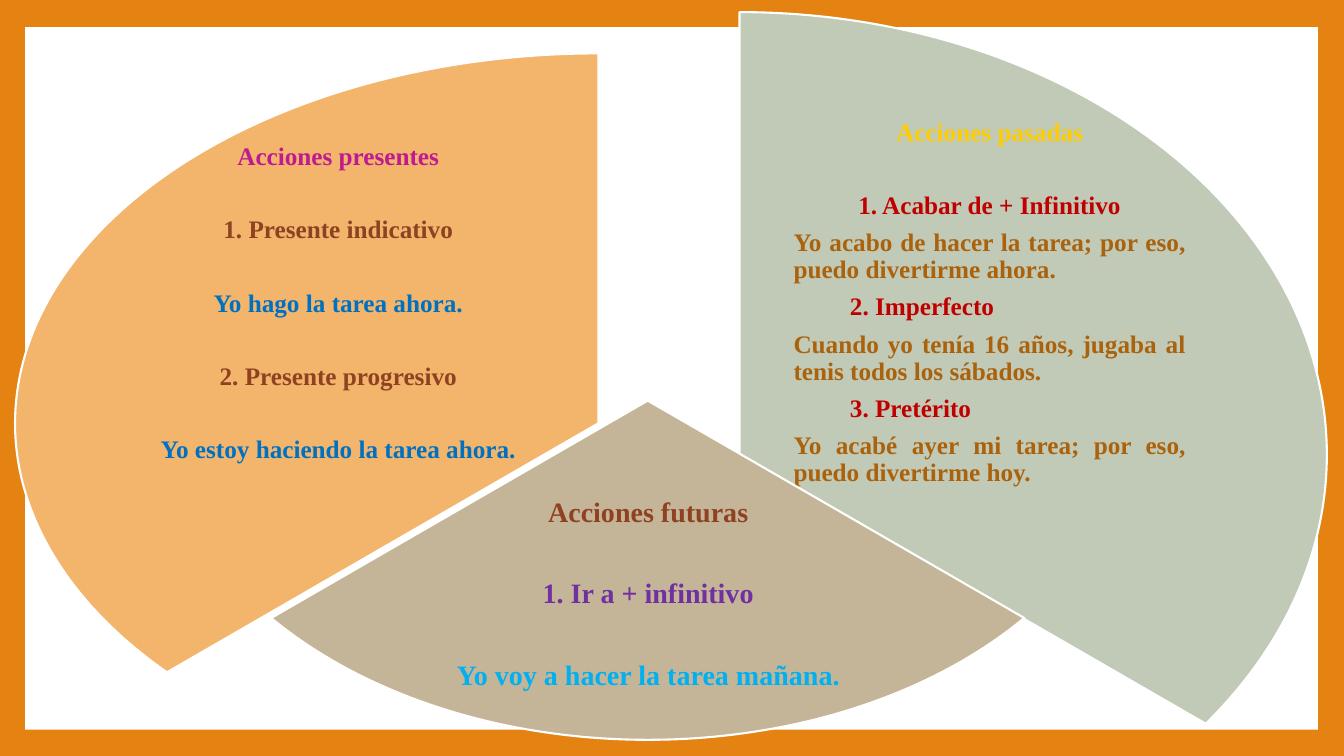
from pptx import Presentation
from pptx.dml.color import RGBColor
from pptx.enum.shapes import MSO_SHAPE as SHAPE
from pptx.enum.text import MSO_ANCHOR, PP_ALIGN as ALIGN
from pptx.util import Inches, Pt

FONT = "Times New Roman"
WHITE = RGBColor(0xFF, 0xFF, 0xFF)
ORANGE = RGBColor(0xE4, 0x83, 0x12)
SAGE = RGBColor(0xC1, 0xCA, 0xB6)
TAN = RGBColor(0xC5, 0xB5, 0x98)
PEACH = RGBColor(0xF3, 0xB5, 0x6C)
YELLOW = RGBColor(0xFF, 0xCC, 0x00)
RED = RGBColor(0xC0, 0x00, 0x00)
OCHRE = RGBColor(0xAB, 0x62, 0x0D)
BROWN = RGBColor(0x8E, 0x42, 0x21)
PURPLE = RGBColor(0x70, 0x30, 0xA0)
SKY = RGBColor(0x00, 0xB0, 0xF0)
MAGENTA = RGBColor(0xBF, 0x1B, 0x90)
BLUE = RGBColor(0x00, 0x70, 0xC0)


def add_filled(slide, kind, box, color):
    """Add a flat preset shape without an outline."""
    shape = slide.shapes.add_shape(kind, *map(Inches, box))
    shape.shadow.inherit = False
    shape.fill.solid()
    shape.fill.fore_color.rgb = color
    shape.line.fill.background()
    return shape


def add_slice(slide, box, color, start, end):
    """Add a white-edged pie slice between two clockwise angles in degrees."""
    pie = add_filled(slide, SHAPE.PIE, box, color)
    pie.adjustments[0] = start * 0.6
    pie.adjustments[1] = end * 0.6
    pie.line.color.rgb = WHITE
    pie.line.width = Pt(1.5)


def add_frame(slide, box, bottom=0.03):
    """Add a wrapping, vertically centred text frame."""
    frame = slide.shapes.add_textbox(*map(Inches, box)).text_frame
    frame.word_wrap = True
    frame.vertical_anchor = MSO_ANCHOR.MIDDLE
    frame.margin_left = frame.margin_right = frame.margin_top = Inches(0.03)
    frame.margin_bottom = Inches(bottom)
    return frame


def write(frame, text, color, size=18, align=ALIGN.CENTER, after=7.1, indent=0):
    """Write one bold paragraph after those already in the frame."""
    paragraph = frame.paragraphs[-1]
    if paragraph.runs:
        paragraph = frame.add_paragraph()
    paragraph.alignment = align
    paragraph.line_spacing = 0.9
    paragraph.space_before = Pt(0)
    paragraph.space_after = Pt(after)
    if indent:
        paragraph._p.get_or_add_pPr().set("marL", str(Inches(indent)))
    run = paragraph.add_run()
    run.text = text
    run.font.name = FONT
    run.font.size = Pt(size)
    run.font.bold = True
    run.font.color.rgb = color


def write_spaced(frame, lines, size, gap):
    """Write centred lines with an equal gap between them."""
    for number, (text, color) in enumerate(lines, 1):
        write(frame, text, color, size=size, after=gap if number < len(lines) else 0)


def add_past(slide):
    """Add the slice on past actions."""
    add_slice(slide, (1.51, 0.12, 11.65, 8.78), SAGE, 270, 30)
    past = add_frame(slide, (7.84, 1.74, 3.95, 2.93), bottom=0.42)
    write(past, "Acciones pasadas", YELLOW, after=32.8)
    write(past, "1. Acabar de + Infinitivo", RED)
    write(past, "Yo acabo de hacer la tarea; por eso, puedo divertirme ahora.",
          OCHRE, align=ALIGN.JUSTIFY)
    write(past, "2. Imperfecto", RED, align=ALIGN.LEFT, indent=0.56)
    write(past, "Cuando yo tenía 16 años, jugaba al tenis todos los sábados.",
          OCHRE, align=ALIGN.JUSTIFY)
    write(past, "3. Pretérito", RED, align=ALIGN.JUSTIFY, indent=0.56)
    write(past, "Yo acabé ayer mi tarea; por eso, puedo divertirme hoy.",
          OCHRE, align=ALIGN.JUSTIFY, after=0)


def add_future(slide):
    """Add the slice on future actions."""
    add_slice(slide, (1.56, 0.61, 9.73, 6.73), TAN, 30, 150)
    future = add_frame(slide, (4.23, 4.86, 4.4, 2.08))
    write_spaced(future, [
        ("Acciones futuras", BROWN),
        ("1. Ir a + infinitivo", PURPLE),
        ("Yo voy a hacer la tarea mañana.", SKY),
    ], size=20, gap=36.4)


def add_present(slide):
    """Add the slice on present actions."""
    add_slice(slide, (0.15, 0.53, 11.57, 7.34), PEACH, 150, 270)
    present = add_frame(slide, (1.39, 1.97, 3.93, 2.45), bottom=0.39)
    write_spaced(present, [
        ("Acciones presentes", MAGENTA),
        ("1. Presente indicativo", BROWN),
        ("Yo hago la tarea ahora.", BLUE),
        ("2. Presente progresivo", BROWN),
        ("Yo estoy haciendo la tarea ahora.", BLUE),
    ], size=18, gap=32.8)


def main():
    """Build the slide and save it."""
    deck = Presentation()
    deck.slide_width = Inches(13.33)
    deck.slide_height = Inches(7.5)
    slide = deck.slides.add_slide(deck.slide_layouts[6])
    slide.background.fill.solid()
    slide.background.fill.fore_color.rgb = ORANGE
    add_filled(slide, SHAPE.RECTANGLE, (0.25, 0.27, 12.82, 6.97), WHITE)
    add_past(slide)
    add_future(slide)
    add_present(slide)
    deck.save("out.pptx")


if __name__ == "__main__":
    main()
